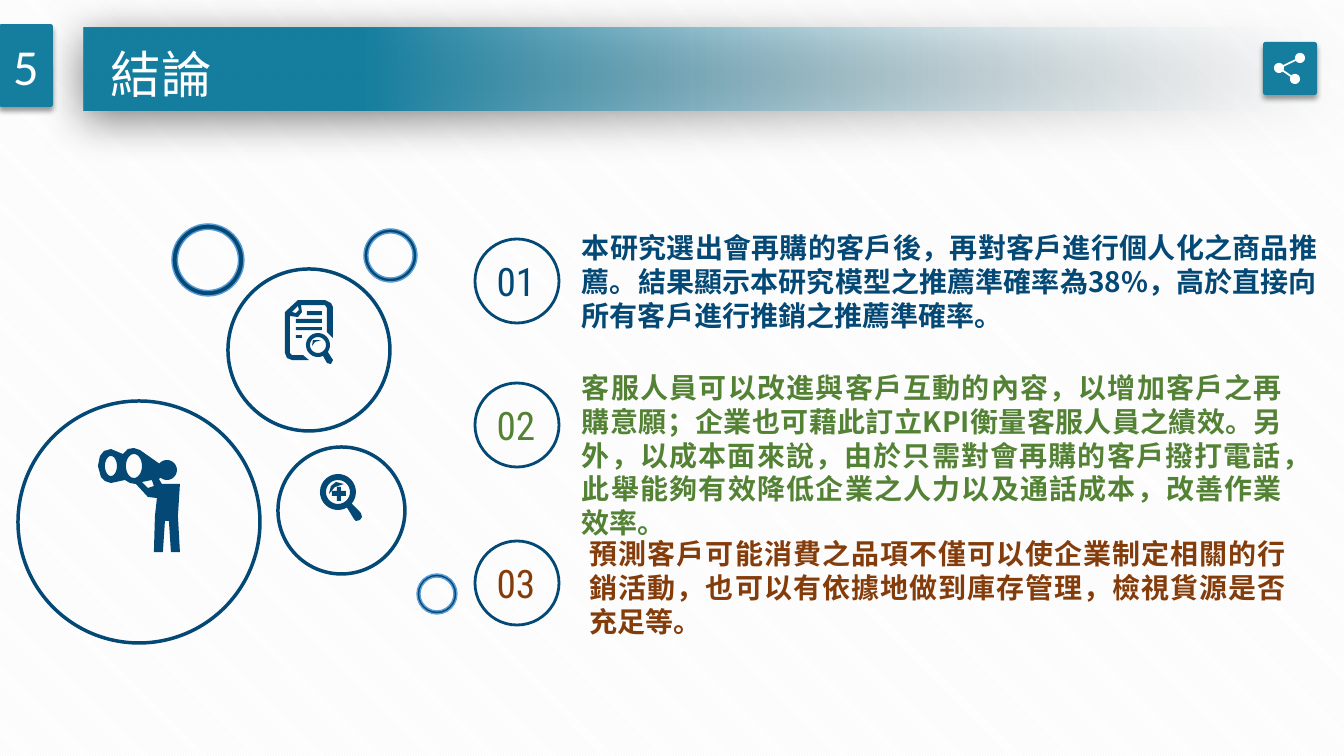
from dataclasses import dataclass
from math import cos, radians, sin

from lxml.etree import SubElement
from pptx import Presentation
from pptx.dml.color import RGBColor
from pptx.enum.dml import MSO_PATTERN
from pptx.enum.shapes import MSO_SHAPE
from pptx.enum.text import MSO_ANCHOR, MSO_AUTO_SIZE, PP_ALIGN
from pptx.oxml.ns import qn
from pptx.util import Pt

SCALE = 12192000 / 1344


@dataclass(frozen=True)
class Theme:
    navy: str = "044875"
    green: str = "548235"
    brown: str = "843C0B"
    teal: str = "157E9F"
    sky: str = "599BD5"
    pale: str = "F7FAFD"
    stripe: str = "F2F2F2"
    white: str = "FFFFFF"
    black: str = "000000"
    heading: int = 36
    number: int = 28
    body: int = 20
    cjk: str = "Noto Sans CJK SC"
    latin: str = "Calibri"
    numeral: str = "Roboto Condensed"


def px(*values):
    return [round(v * SCALE) for v in values]


def rgb(value):
    return RGBColor.from_string(value)


def arc(cx, cy, rx, start=0, end=360, ry=None):
    steps = max(2, round(abs(end - start) / 12))
    angles = [radians(start + (end - start) * i / steps) for i in range(steps + 1)]
    return [(cx + rx * cos(a), cy + (ry or rx) * sin(a)) for a in angles]


def box(left, top, right, bottom):
    return [(left, top), (right, top), (right, bottom), (left, bottom)]


class SlideBuilder:
    def __init__(self, s, theme):
        self.s = s
        self.theme = theme

    def background(self):
        fill = self.s.background.fill
        fill.patterned()
        fill.pattern = MSO_PATTERN.DARK_DOWNWARD_DIAGONAL
        fill.fore_color.rgb = rgb(self.theme.stripe)
        fill.back_color.rgb = rgb(self.theme.white)

    def group(self):
        return self.s.shapes.add_group_shape().shapes

    def paint(self, sp, fill=None, line=None, width=1):
        sp.shadow.inherit = False
        if fill:
            sp.fill.solid()
            sp.fill.fore_color.rgb = rgb(fill)
        else:
            sp.fill.background()
        if line:
            sp.line.color.rgb = rgb(line)
            sp.line.width = Pt(width)
        else:
            sp.line.fill.background()
        return sp

    def shape(self, kind, at, into=None, adj=None, **style):
        sp = (into or self.s.shapes).add_shape(kind, *px(*at))
        if adj is not None:
            sp.adjustments[0] = adj
        return self.paint(sp, **style)

    def icon(self, contours, color, into=None):
        first, *rest = [[px(*point) for point in c] for c in contours]
        builder = (into or self.s.shapes).build_freeform(*first[0])
        builder.add_line_segments(first[1:])
        for contour in rest:
            builder.move_to(*contour[0])
            builder.add_line_segments(contour[1:])
        return self.paint(builder.convert_to_shape(), fill=color)

    def shadow(self, sp, alpha, blur, dist, angle):
        effects = sp.element.spPr.find(qn("a:effectLst"))
        outer = SubElement(effects, qn("a:outerShdw"), blurRad=str(Pt(blur)),
                           dist=str(Pt(dist)), dir=str(angle * 60000),
                           algn="t", rotWithShape="0")
        color = SubElement(outer, qn("a:srgbClr"), val=self.theme.black)
        SubElement(color, qn("a:alpha"), val=str(alpha * 1000))

    def fill_text(self, sp, text, size, font, color, align=PP_ALIGN.CENTER,
                  bold=False, spacing=None, wrap=True, anchor=MSO_ANCHOR.TOP):
        tf = sp.text_frame
        tf.word_wrap = wrap
        tf.auto_size = MSO_AUTO_SIZE.NONE
        tf.vertical_anchor = anchor
        p = tf.paragraphs[0]
        p.alignment = align
        if spacing:
            p.line_spacing = Pt(spacing)
        r = p.add_run()
        r.text = text
        r.font.size = Pt(size)
        r.font.name = font
        r.font.bold = bold
        r.font.color.rgb = rgb(color)
        SubElement(r.font._element, qn("a:ea"), typeface=font)

    def text(self, at, text, into=None, **style):
        sp = (into or self.s.shapes).add_textbox(*px(*at))
        self.fill_text(sp, text, **style)

    def title(self, at, text):
        t = self.theme
        sp = self.s.shapes.title
        sp.left, sp.top, sp.width, sp.height = px(*at)
        sp.element.getparent().append(sp.element)
        self.fill_text(sp, text, t.heading, t.cjk, t.white, spacing=44, wrap=False)

    def banner(self, at):
        t = self.theme
        sp = self.shape(MSO_SHAPE.RECTANGLE, at)
        sp.fill.gradient()
        sp.fill.gradient_angle = 180
        for stop, color, pos in zip(sp.fill.gradient_stops, (t.pale, t.teal), (0, 0.78)):
            stop.color.rgb = rgb(color)
            stop.position = pos
        clear = sp.element.xpath(".//a:gs/a:srgbClr")[0]
        SubElement(clear, qn("a:alpha"), val="0")
        self.shadow(sp, 50, 31, 6, 97)

    def tab(self, at):
        sp = self.shape(MSO_SHAPE.ROUNDED_RECTANGLE, at, adj=0.05, fill=self.theme.teal)
        self.shadow(sp, 40, 4, 3, 90)
        return sp

    def conclusion(self, number, top, color, at, text):
        t = self.theme
        g = self.group()
        self.text((448, top + 13, 136, 57), number, into=g,
                  size=t.number, font=t.numeral, color=color)
        self.shape(MSO_SHAPE.OVAL, (475, top, 84, 84), into=g, line=t.navy, width=2)
        self.text(at, text, size=t.body, font=t.cjk, color=color,
                  align=PP_ALIGN.JUSTIFY, bold=True, spacing=24)

    def bubble(self, left, top, size, contours):
        g = self.group()
        self.shape(MSO_SHAPE.OVAL, (left, top, size, size), into=g,
                   line=self.theme.navy, width=2.5)
        self.icon(contours, self.theme.navy, into=g)


OBSERVER = [
    [(134, 448), (128, 449), (123, 454), (111, 449), (104, 451), (100, 456),
     (98, 466), (101, 477), (105, 481), (111, 483), (125, 480), (130, 483),
     (136, 484), (148, 497), (157, 498), (155, 516), (154, 552), (163, 552),
     (165, 521), (169, 521), (171, 552), (180, 552), (178, 516), (180, 484),
     (162, 484), (159, 479), *arc(167, 470, 10, 130, -140), (140, 450)],
    [(154, 486), (148, 488), (142, 482), (152, 480)],
    arc(111, 466, 6, ry=10),
    arc(134, 466, 8, ry=12),
]
DOCUMENT = [
    [(298, 300), (325, 300), (331, 303), (333, 307), (333, 338), (327, 332),
     (327, 308), (325, 305), (301, 305), (302, 312), (298, 317), (290, 316),
     (290, 353), (292, 355), (303, 355), (309, 360), (292, 360), (287, 358),
     (285, 353), (285, 312)],
    [(298, 306), (292, 312), (296, 313), (299, 310)],
    box(307, 311, 322, 315), box(296, 319, 322, 323),
    box(296, 327, 322, 330), box(296, 335, 302, 338),
    [*arc(318, 345, 12, 65, 395), (333, 360), (331, 364), (327, 363)],
    arc(318, 345, 8),
    [(312, 346), (313, 340), (321, 340), (315, 342)],
]
MAGNIFIER = [
    [*arc(338, 492, 18, 60, 400), (361, 513), (362, 517), (360, 520),
     (356, 521), (354, 519)],
    arc(338, 492, 12),
    [(337, 487), (341, 487), (341, 491), (346, 491), (346, 496), (341, 496),
     (341, 501), (337, 501), (337, 496), (332, 496), (332, 491), (337, 491)],
    [(329, 494), (331, 486), (336, 482), (344, 484), (335, 487)],
]
SHARE = [[*arc(1300, 58, 5, 165, 505), *arc(1279, 68, 5, -15, 25),
          *arc(1295, 79, 5, 225, 565), *arc(1279, 68, 5, 45, 325)]]


def main():
    prs = Presentation()
    prs.slide_width, prs.slide_height = px(1344, 756)
    t = Theme()
    b = SlideBuilder(prs.slides.add_slide(prs.slide_layouts[5]), t)
    b.background()

    conclusions = [
        ("01", 239, t.navy, (572, 226, 755, 90),
         "本研究選出會再購的客戶後，再對客戶進行個人化之商品推薦。結果顯示本研究模型之推薦準確率為38%，高於直接向所有客戶進行推銷之推薦準確率。"),
        ("02", 383, t.green, (572, 366, 720, 102),
         "客服人員可以改進與客戶互動的內容，以增加客戶之再購意願；企業也可藉此訂立KPI衡量客服人員之績效。另外，以成本面來說，由於只需對會再購的客戶撥打電話，此舉能夠有效降低企業之人力以及通話成本，改善作業效率。"),
        ("03", 541, t.brown, (580, 532, 716, 175),
         "預測客戶可能消費之品項不僅可以使企業制定相關的行銷活動，也可以有依據地做到庫存管理，檢視貨源是否充足等。"),
    ]
    for item in conclusions:
        b.conclusion(*item)

    for left, top, size in ((172, 224, 72), (364, 229, 53), (417, 574, 40)):
        b.shape(MSO_SHAPE.DONUT, (left, top, size, size), adj=0.075,
                fill=t.navy, line=t.sky)
    b.bubble(18, 401, 242, OBSERVER)
    b.bubble(228, 269, 162, DOCUMENT)
    b.bubble(278, 447, 127, MAGNIFIER)

    b.banner((84, 28, 1260, 83))
    b.fill_text(b.tab((-1, 24, 54, 83)), "5", t.heading, t.latin, t.white,
                anchor=MSO_ANCHOR.MIDDLE)
    b.title((100, 37, 122, 72), "結論")
    b.tab((1263, 42, 54, 53))
    b.icon(SHARE, t.white)
    prs.save("out.pptx")


if __name__ == "__main__":
    main()
